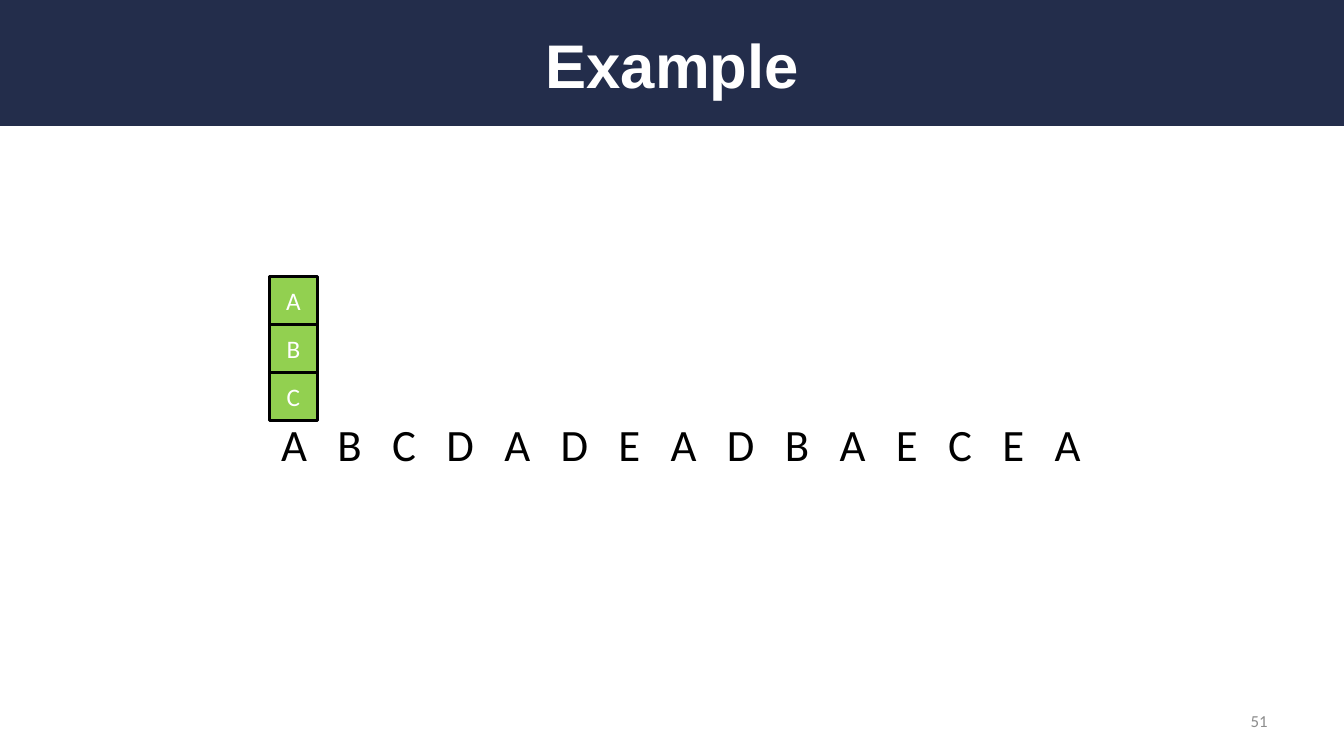
import pptx
import pptx.util
import pptx.dml.color
import pptx.enum.shapes
import pptx.enum.text

Inches = pptx.util.Inches
Align = pptx.enum.text.PP_ALIGN
Anchor = pptx.enum.text.MSO_ANCHOR

COLORS = {
    "navy": "232D4B",
    "green": "92D050",
    "black": "000000",
    "white": "FFFFFF",
    "gray": "8C8C8C",
}
SEQUENCE = "ABCDADEADBAECEA"
STACK = "ABC"


def color(name):
    return pptx.dml.color.RGBColor.from_string(COLORS[name])


def write(box, text, size, ink, align, font="Calibri", bold=False):
    frame = box.text_frame
    frame.vertical_anchor = Anchor.MIDDLE
    para = frame.paragraphs[0]
    para.alignment = align
    para.font.name = font
    para.font.size = pptx.util.Pt(size)
    para.font.bold = bold
    para.font.color.rgb = color(ink)
    span = para.add_run()
    span.text = text
    return span


def add_text(page, left, top, width, height, *style, wrap=True, **options):
    box = page.shapes.add_textbox(
        Inches(left), Inches(top), Inches(width), Inches(height))
    box.text_frame.word_wrap = wrap
    return write(box, *style, **options)


def add_rectangle(shapes, left, top, width, height, fill):
    box = shapes.add_shape(
        pptx.enum.shapes.MSO_SHAPE.RECTANGLE,
        Inches(left), Inches(top), Inches(width), Inches(height))
    box.shadow.inherit = False
    box.fill.solid()
    box.fill.fore_color.rgb = color(fill)
    box.line.fill.background()
    return box


def add_header(page, left, top, width, height):
    add_rectangle(page.shapes, left, top, width, height, "navy")
    add_text(page, left + 0.67, top + 0.17, width - 1.33, 0.92,
             "Example", 44, "white", Align.CENTER, font="Arial", bold=True)


def add_sequence(page, left, top, width, height):
    span = add_text(page, left, top, width, height, " ".join(SEQUENCE),
                    32, "black", Align.LEFT, wrap=False)
    span._r.get_or_add_rPr().set("spc", "723")


def add_stack(page, left, top, width, height):
    group = page.shapes.add_group_shape()
    cell_height = height / len(STACK)
    for row, letter in enumerate(STACK):
        cell = add_rectangle(group.shapes, left, top + row * cell_height,
                             width, cell_height, "green")
        cell.line.color.rgb = color("black")
        cell.line.width = pptx.util.Pt(2)
        write(cell, letter, 18, "white", Align.CENTER)


def add_page_number(page, left, top, width, height):
    add_text(page, left, top, width, height, "51", 12, "gray", Align.RIGHT)


def main():
    deck = pptx.Presentation()
    deck.slide_width = Inches(13.33)
    deck.slide_height = Inches(7.5)
    page = deck.slides.add_slide(deck.slide_layouts[6])
    add_header(page, 0, 0, 13.33, 1.25)
    add_page_number(page, 9.56, 6.95, 3.11, 0.4)
    add_sequence(page, 2.69, 4.08, 8.23, 0.64)
    add_stack(page, 2.67, 2.74, 0.48, 1.43)
    deck.save("out.pptx")


if __name__ == "__main__":
    main()
